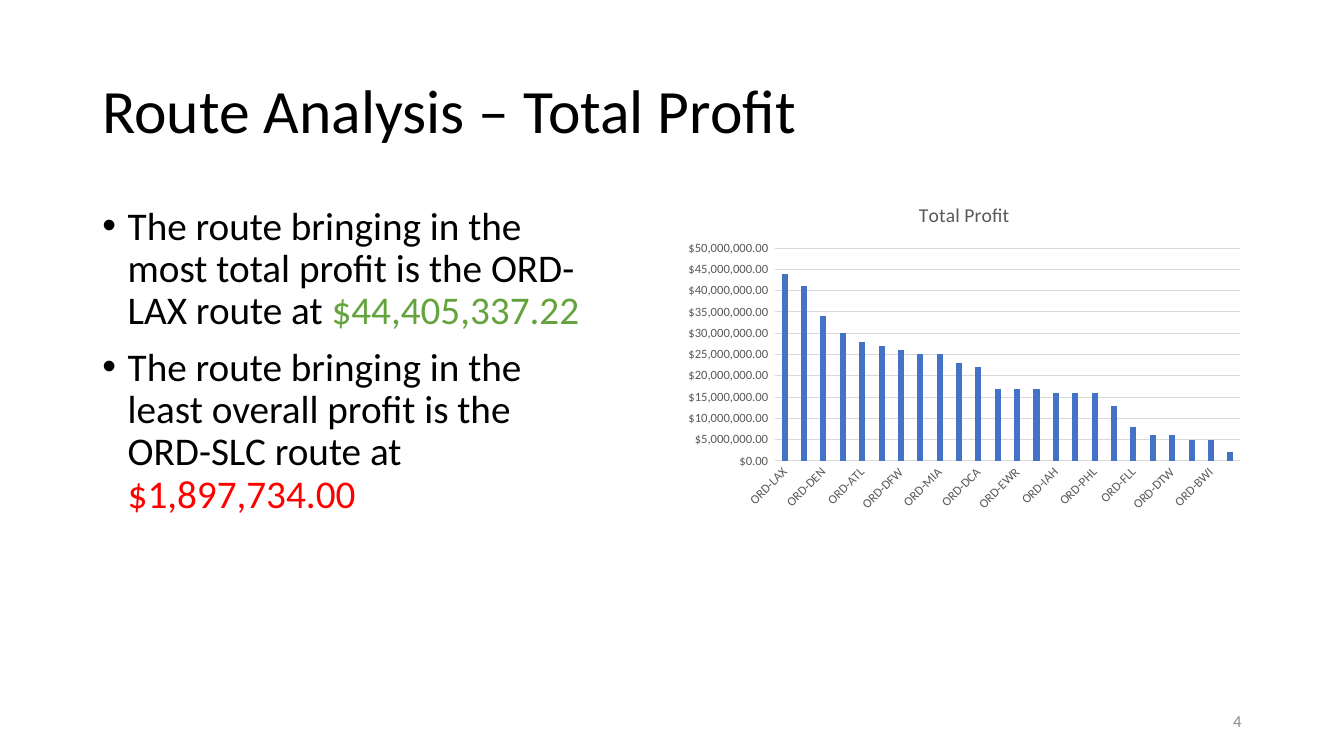
from pptx import Presentation
from pptx.chart.data import CategoryChartData
from pptx.dml.color import RGBColor
from pptx.enum.chart import XL_CHART_TYPE, XL_TICK_MARK
from pptx.enum.text import MSO_ANCHOR, PP_ALIGN
from pptx.oxml.ns import qn
from pptx.util import Cm, Pt
from lxml import etree

COLUMN = XL_CHART_TYPE.COLUMN_CLUSTERED
NO_TICK = XL_TICK_MARK.NONE
TOP, MIDDLE = MSO_ANCHOR.TOP, MSO_ANCHOR.MIDDLE
LEFT, RIGHT = PP_ALIGN.LEFT, PP_ALIGN.RIGHT

FONT = "Calibri"
COLORS = {
    "text": "000000", "gain": "65A33E", "loss": "FF0000", "number": "8B8B8B",
    "label": "595959", "grid": "D9D9D9", "bar": "4472C4",
}
MONEY = '\\$#,##0.00_);[Red]\\(\\$#,##0.00\\)'
BULLETS = [
    [("The route bringing in the most total profit is the ORD-LAX route at ", "text"),
     ("$44,405,337.22", "gain")],
    [("The route bringing in the least overall profit is the ORD-SLC route at ", "text"),
     ("$1,897,734.00", "loss")],
]
# Profit per route from ORD, in millions of dollars
PROFITS = {
    "LAX": 44, "SFO": 41, "DEN": 34, "JFK": 30, "ATL": 28, "SEA": 27,
    "DFW": 26, "LAS": 25, "MIA": 25, "PHX": 23, "DCA": 22, "BOS": 17,
    "EWR": 17, "LGA": 17, "IAH": 16, "MCO": 16, "PHL": 16, "CLT": 13,
    "FLL": 8, "MSP": 6, "DTW": 6, "IAD": 5, "BWI": 5, "SLC": 2,
}


def apply(obj, formats):
    """Set attributes of an object from a dict."""
    for name, value in formats.items():
        setattr(obj, name, value)


def rgb(name):
    """Return a named colour."""
    return RGBColor.from_string(COLORS[name])


def style_font(font, size, color):
    """Set face, size, weight and colour of a font."""
    apply(font, {"name": FONT, "size": Pt(size), "bold": False})
    font.color.rgb = rgb(color)


def style_line(line):
    """Draw a thin grid-coloured line."""
    line.width = Pt(0.75)
    line.color.rgb = rgb("grid")


def add_bullet(p):
    """Give a paragraph a hanging round bullet."""
    pPr = p._p.get_or_add_pPr()
    pPr.set("marL", str(Cm(0.64)))
    pPr.set("indent", str(-Cm(0.64)))
    etree.SubElement(pPr, qn("a:buFont")).set("typeface", "Arial")
    etree.SubElement(pPr, qn("a:buChar")).set("char", "•")


def add_text(s, box, paragraphs, size, anchor=MIDDLE, align=LEFT, bullets=False):
    """Add a text box whose paragraphs are lists of (text, colour) runs."""
    tf = s.shapes.add_textbox(*map(Cm, box)).text_frame
    apply(tf, {"word_wrap": True, "vertical_anchor": anchor})
    for i, runs in enumerate(paragraphs):
        p = tf.add_paragraph() if i else tf.paragraphs[0]
        apply(p, {"alignment": align, "line_spacing": 0.9 if size > 12 else 1.0})
        if bullets:
            p.space_before = Pt(10)
            add_bullet(p)
        for text, color in runs:
            r = p.add_run()
            r.text = text
            style_font(r.font, size, color)


def style_axis(axis):
    """Style the tick labels of an axis and hide its tick marks."""
    apply(axis, {"major_tick_mark": NO_TICK, "minor_tick_mark": NO_TICK})
    style_font(axis.tick_labels.font, 9, "label")


def add_profit_chart(s, box):
    """Add the column chart of total profit by route."""
    data = CategoryChartData(number_format=MONEY)
    data.categories = [f"ORD-{code}" for code in PROFITS]
    data.add_series("Total Profit", [v * 1_000_000 for v in PROFITS.values()])
    chart = s.shapes.add_chart(COLUMN, *map(Cm, box), data).chart
    apply(chart, {"has_legend": False, "has_title": True})
    style_font(chart.font, 10, "text")

    tf = chart.chart_title.text_frame
    tf.text = "Total Profit"
    style_font(tf.paragraphs[0].runs[0].font, 14, "label")
    chart.chart_title.include_in_layout = False

    plot = chart.plots[0]
    apply(plot, {"gap_width": 219, "overlap": -27, "vary_by_categories": False})
    fill = plot.series[0].format.fill
    fill.solid()
    fill.fore_color.rgb = rgb("bar")

    cat, val = chart.category_axis, chart.value_axis
    for axis in (cat, val):
        style_axis(axis)
    style_line(cat.format.line)
    # Lets the renderer slant the crowded route labels
    cat._element.find(qn("c:txPr")).find(qn("a:bodyPr")).set("rot", "-60000000")
    apply(val, {"minimum_scale": 0, "maximum_scale": 50_000_000,
                "major_unit": 5_000_000, "has_major_gridlines": True})
    apply(val.tick_labels, {"number_format": MONEY, "number_format_is_linked": False})
    val.format.line.fill.background()
    style_line(val.major_gridlines.format.line)


def main():
    """Build the route profit slide."""
    prs = Presentation()
    apply(prs, {"slide_width": Cm(33.87), "slide_height": Cm(19.05)})
    s = prs.slides.add_slide(prs.slide_layouts[6])
    add_text(s, (2.33, 1.01, 29.21, 3.68),
             [[("Route Analysis – Total Profit", "text")]], 44)
    add_text(s, (2.33, 5.07, 12.7, 12.09), BULLETS, 28, anchor=TOP, bullets=True)
    add_profit_chart(s, (17.06, 4.69, 14.48, 8.38))
    add_text(s, (23.92, 17.66, 7.62, 1.01), [[("4", "number")]], 12, align=RIGHT)
    prs.save("out.pptx")


main()
